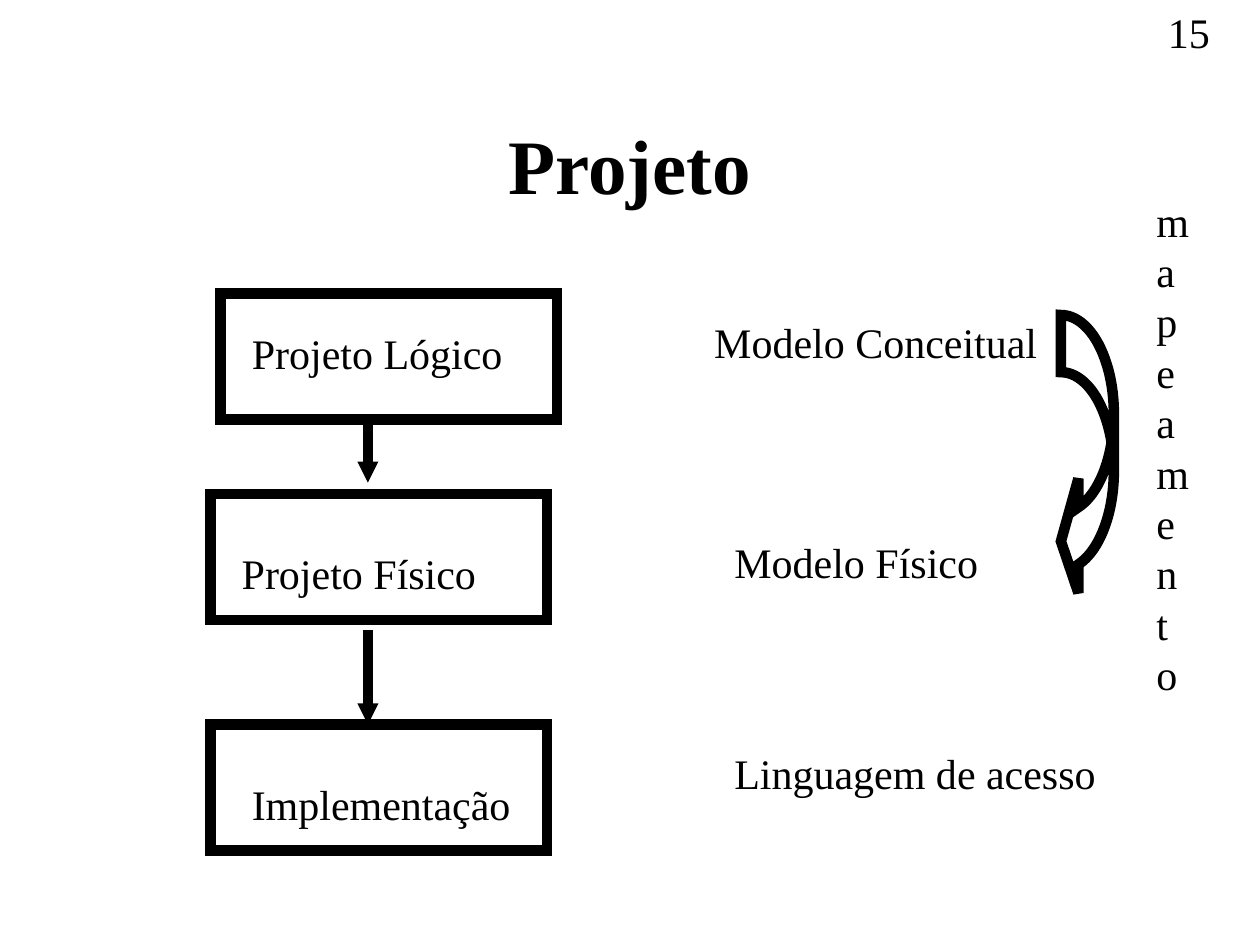
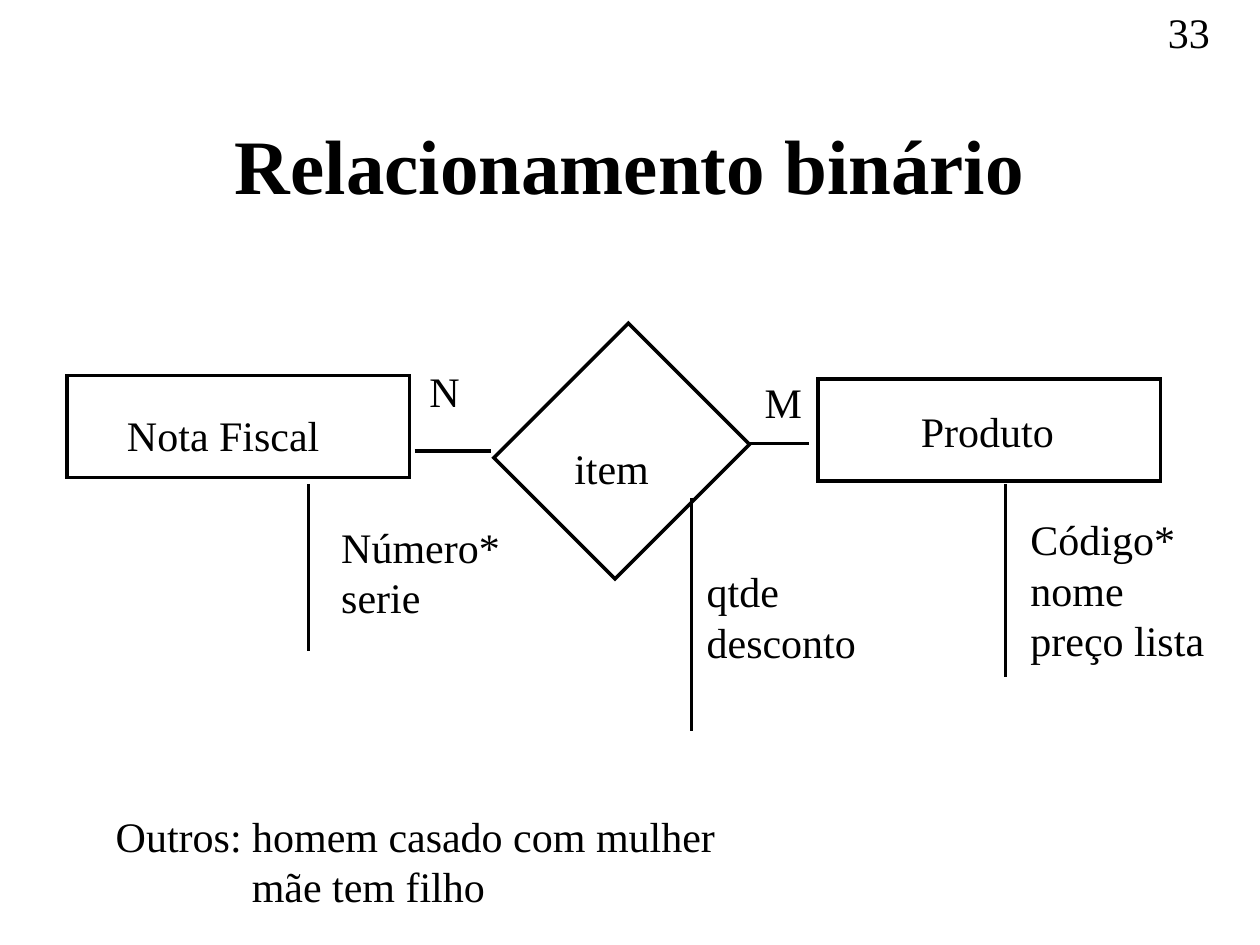
import dataclasses

import pptx
import pptx.dml.color
import pptx.enum.shapes
import pptx.enum.text
import pptx.oxml
import pptx.oxml.ns
import pptx.util

Inches = pptx.util.Inches
Pt = pptx.util.Pt
SHAPE = pptx.enum.shapes.MSO_SHAPE


@dataclasses.dataclass(frozen=True)
class Theme:
    font: str = "Times New Roman"
    ink: pptx.dml.color.RGBColor = pptx.dml.color.RGBColor(0, 0, 0)
    paper: pptx.dml.color.RGBColor = pptx.dml.color.RGBColor(255, 255, 255)
    title_size: int = 44
    body_size: int = 24
    heavy: int = 6
    thin: int = 2
    line_height: float = 0.4


THEME = Theme()


def append_drawing(parent, tag, attributes=""):
    """Append an empty DrawingML element to an XML parent."""
    parent.append(pptx.oxml.parse_xml(
        f'<a:{tag} {pptx.oxml.ns.nsdecls("a")} {attributes}/>'))


@dataclasses.dataclass(frozen=True)
class Region:
    """Part of a slide; everything in it is placed from its left top corner."""

    slide: object
    left: float
    top: float

    def at(self, x, y):
        return Inches(self.left + x), Inches(self.top + y)

    def inner(self, x, y):
        return Region(self.slide, self.left + x, self.top + y)

    def text(self, x, y, width, lines, height=None, size=THEME.body_size,
             bold=False, centred=False, wrap=False):
        """Write one paragraph for each line and return the paragraphs."""
        height = height or 0.1 + THEME.line_height * len(lines)
        box = self.slide.shapes.add_textbox(*self.at(x, y), Inches(width), Inches(height))
        frame = box.text_frame
        frame.word_wrap = wrap
        if not wrap:
            frame.auto_size = pptx.enum.text.MSO_AUTO_SIZE.SHAPE_TO_FIT_TEXT
        if centred:
            frame.vertical_anchor = pptx.enum.text.MSO_ANCHOR.MIDDLE
        for index, line in enumerate(lines):
            paragraph = frame.add_paragraph() if index else frame.paragraphs[0]
            if centred:
                paragraph.alignment = pptx.enum.text.PP_ALIGN.CENTER
            run = paragraph.add_run()
            run.text = line
            run.font.name = THEME.font
            run.font.size = Pt(size)
            run.font.bold = bold
            run.font.color.rgb = THEME.ink
        return frame.paragraphs

    def outline(self, kind, x, y, width, height, weight):
        shape = self.slide.shapes.add_shape(
            kind, *self.at(x, y), Inches(width), Inches(height))
        shape.shadow.inherit = False
        shape.fill.background()
        shape.line.color.rgb = THEME.ink
        shape.line.width = Pt(weight)
        append_drawing(shape.line._get_or_add_ln(), "miter", 'lim="800000"')
        return shape

    def line(self, start, end, weight, arrow=False):
        connector = self.slide.shapes.add_connector(
            pptx.enum.shapes.MSO_CONNECTOR.STRAIGHT, *self.at(*start), *self.at(*end))
        connector.line.color.rgb = THEME.ink
        connector.line.width = Pt(weight)
        if arrow:
            append_drawing(connector.line._get_or_add_ln(), "tailEnd",
                           'type="triangle" w="sm" len="sm"')
        append_drawing(connector._element.spPr, "effectLst")


def start_slide(deck, title, number):
    """Add a slide with its title and page number; return its whole area."""
    slide = deck.slides.add_slide(deck.slide_layouts[6])
    slide.background.fill.solid()
    slide.background.fill.fore_color.rgb = THEME.paper
    page = Region(slide, 0, 0)
    page.text(9.17, 0, 0.83, [number], wrap=True)
    page.text(0.75, 0.67, 8.5, [title], height=1.25, size=THEME.title_size,
              bold=True, centred=True, wrap=True)
    return page


def draw_design_steps(region):
    # step, box corner, label corner within the box, label width
    steps = [
        ("Projeto Lógico", (0.08, 0), (0.15, 0.22), 2.19),
        ("Projeto Físico", (0, 1.59), (0.15, 0.38), 2.06),
        ("Implementação", (0, 3.42), (0.23, 0.38), 2.27),
    ]
    for step, corner, label, width in steps:
        box = region.inner(*corner)
        box.outline(SHAPE.RECTANGLE, 0, 0, 2.67, 1, THEME.heavy)
        box.text(*label, width, [step])
    for top, bottom in [(1, 1.5), (2.67, 3.42)]:
        region.line((1.25, top), (1.25, bottom), THEME.heavy, arrow=True)


def draw_models(region):
    """List the result of each step and the mapping between the models."""
    for model, x, y, width in [("Modelo Conceitual", 0, 0, 2.78),
                               ("Modelo Físico", 0.16, 1.75, 2.15),
                               ("Linguagem de acesso", 0.16, 3.42, 3.07)]:
        region.text(x, y, width, [model])
    mapping = region.outline(SHAPE.CURVED_LEFT_ARROW, 2.85, 0.04, 0.42, 2.25, THEME.heavy)
    for index, ratio in enumerate((1.08, 2.16, 0.33)):
        mapping.adjustments[index] = ratio
    region.text(3.51, -0.96, 0.43, ["mapeamento"], height=4.1, wrap=True)


def draw_entity(region, name, label, label_width):
    region.outline(SHAPE.RECTANGLE, 0, 0, 2.72, 0.81, THEME.thin)
    region.text(*label, label_width, [name])


def draw_attributes(region, length, names, offset, width):
    """Hang a line from the region's corner, with attribute names beside it."""
    region.line((0, 0), (0, length), THEME.thin)
    region.text(*offset, width, names)


def draw_relationship(region):
    draw_entity(region.inner(0, 0), "Nota Fiscal", (0.38, 0.22), 1.73)
    draw_entity(region.inner(5.96, 0.03), "Produto", (0.72, 0.16), 1.26)
    diamond = region.outline(SHAPE.RECTANGLE, 3.65, -0.08, 1.51, 1.36, THEME.thin)
    diamond.rotation = 315
    region.text(3.93, 0.48, 0.79, ["item"])

    region.line((2.76, 0.6), (3.37, 0.6), THEME.thin)
    region.line((5.4, 0.54), (5.89, 0.54), THEME.thin)
    region.text(2.78, -0.13, 0.44, ["N"])
    region.text(5.44, -0.04, 0.5, ["M"])

    draw_attributes(region.inner(1.92, 0.86), 1.33, ["Número*", "serie"],
                    (0.16, 0.25), 1.46)
    draw_attributes(region.inner(4.96, 0.97), 1.85, ["qtde", "desconto"],
                    (0.02, 0.49), 1.39)
    draw_attributes(region.inner(7.45, 0.86), 1.53, ["Código*", "nome", "preço lista"],
                    (0.1, 0.19), 1.58)


def draw_other_examples(region):
    paragraphs = region.text(
        0, 0, 4.96, ["Outros: homem casado com mulher", "mãe tem filho"])
    paragraphs[1]._p.get_or_add_pPr().set("marL", str(Inches(1.08)))


def main():
    deck = pptx.Presentation()
    deck.slide_width, deck.slide_height = Inches(10), Inches(7.5)

    design = start_slide(deck, "Projeto", "15")
    draw_design_steps(design.inner(1.67, 2.33))
    draw_models(design.inner(5.57, 2.46))

    binary = start_slide(deck, "Relacionamento binário", "33")
    draw_relationship(binary.inner(0.53, 2.98))
    draw_other_examples(binary.inner(0.82, 6.38))

    deck.save("out.pptx")


if __name__ == "__main__":
    main()
